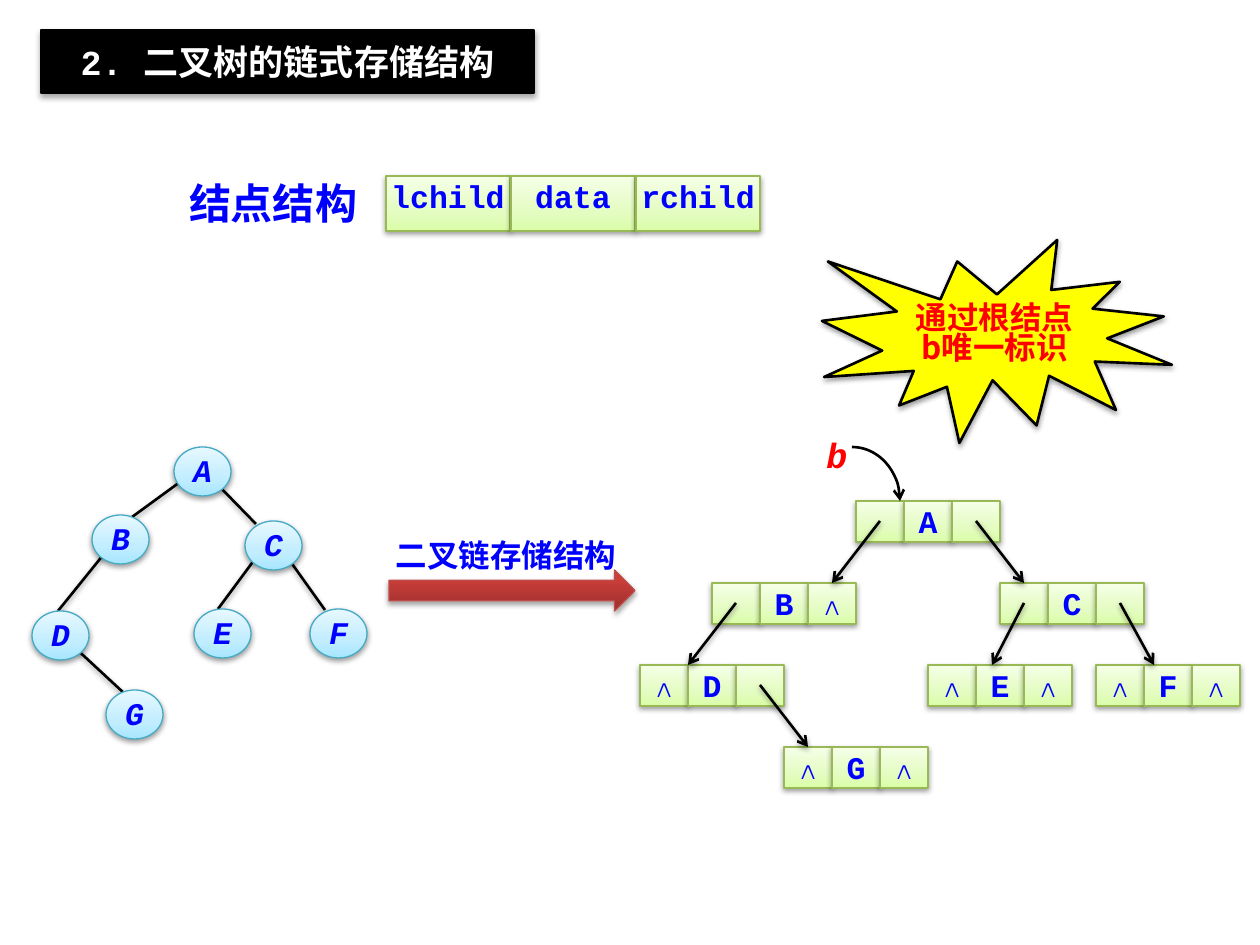
from dataclasses import dataclass

from lxml import etree
from pptx import Presentation
from pptx.dml.color import RGBColor
from pptx.enum.shapes import MSO_CONNECTOR, MSO_SHAPE
from pptx.enum.text import MSO_ANCHOR, PP_ALIGN
from pptx.oxml import parse_xml
from pptx.oxml.ns import nsdecls, qn
from pptx.util import Pt

EMU_PER_PX = 914400 / 126
SLIDE = (1260, 945)


@dataclass(frozen=True)
class Theme:
    mono: str = "Courier New"
    cjk: str = "Noto Sans CJK SC"
    black: str = "000000"
    white: str = "FFFFFF"
    blue: str = "0000FF"
    red: str = "FF0000"
    yellow: str = "FFFF00"
    sky: tuple = ((0, "A7E6FF"), (35, "C1EDFF"), (100, "E7F8FF"))
    sky_edge: str = "46AAC5"
    lime: tuple = ((0, "DAFDA7"), (35, "E4FCC2"), (100, "F5FFE7"))
    lime_edge: str = "98B955"
    brick: tuple = ((0, "9C2F2D"), (80, "CB3E3A"), (100, "CE3B37"))
    brick_edge: str = "BF4C48"
    body: int = 18
    title: int = 20
    heading: int = 24
    thin: float = 0.75
    thick: float = 1.5


THEME = Theme()

# Left, top of every oval in the logical tree
OVALS = {"A": (174, 447), "B": (92, 515), "C": (245, 521), "E": (194, 609),
         "F": (310, 609), "D": (32, 611), "G": (106, 690)}
BRANCHES = [((219, 486), (256, 524)), ((255, 559), (218, 609)),
            ((71, 644), (125, 694)), ((285, 554), (325, 610)),
            ((108, 549), (58, 611)), ((202, 466), (117, 528))]

# Linked nodes: half-cell column, row, left child, right child
NULL = "∧"
LINKED_NODES = {"A": (9, 0, "B", "C"), "B": (3, 1, "D", NULL),
                "C": (15, 1, "E", "F"), "D": (0, 2, NULL, "G"),
                "E": (12, 2, NULL, NULL), "G": (6, 3, NULL, NULL),
                "F": (19, 2, NULL, NULL)}
# Where the incoming pointer lands, from the node's left side
LANDINGS = {"B": 120, "C": 24, "D": 48, "E": 64, "F": 58, "G": 24}
GRID_LEFT, GRID_TOP, CELL, CELL_HEIGHT, ROW_PITCH = 640, 501, 48, 41, 82


def px(*lengths):
    return [round(length * EMU_PER_PX) for length in lengths]


def add_shadow(shape, alpha=38, distance=20000):
    shape._element.spPr.append(parse_xml(
        f'<a:effectLst {nsdecls("a")}><a:outerShdw blurRad="40000" dist="{distance}" '
        f'dir="5400000" rotWithShape="0"><a:srgbClr val="000000">'
        f'<a:alpha val="{alpha * 1000}"/></a:srgbClr></a:outerShdw></a:effectLst>'))


def add_arrowhead(shape):
    etree.SubElement(shape.line._get_or_add_ln(), qn("a:tailEnd"), type="arrow")


def paint(shape, fill, edge, weight):
    """Fill with a colour, or with gradient stops that run from bottom to top."""
    if isinstance(fill, str):
        shape.fill.solid()
        shape.fill.fore_color.rgb = RGBColor.from_string(fill)
    else:
        stops = "".join(f'<a:gs pos="{at * 1000}"><a:srgbClr val="{color}"/></a:gs>'
                        for at, color in fill)
        geometry = shape._element.spPr.find(qn("a:prstGeom"))
        geometry.addnext(parse_xml(
            f'<a:gradFill {nsdecls("a")} rotWithShape="1"><a:gsLst>{stops}</a:gsLst>'
            '<a:lin ang="16200000" scaled="0"/></a:gradFill>'))
    shape.line.color.rgb = RGBColor.from_string(edge)
    shape.line.width = Pt(weight)


def write(shape, text, size=THEME.body, color=THEME.blue, font=THEME.mono,
          italic=False, align=PP_ALIGN.CENTER, spacing=None,
          insets=(0, 0, 0, 0), anchor=MSO_ANCHOR.TOP):
    frame = shape.text_frame
    frame.word_wrap = True
    frame.vertical_anchor = anchor
    (frame.margin_left, frame.margin_top,
     frame.margin_right, frame.margin_bottom) = px(*insets)
    frame.text = text
    paragraph = frame.paragraphs[0]
    paragraph.alignment = align
    paragraph.line_spacing = spacing
    run = paragraph.runs[0]
    run.font.size = Pt(size)
    run.font.name = font
    run.font.bold = True
    run.font.italic = italic
    run.font.color.rgb = RGBColor.from_string(color)
    if any("\u4e00" <= letter <= "\u9fff" for letter in text):
        etree.SubElement(run.font._element, qn("a:ea"), typeface=THEME.cjk)


def add_block(shapes, preset, box, fill, edge, weight=THEME.thin, **shadow):
    block = shapes.add_shape(preset, *px(*box))
    paint(block, fill, edge, weight)
    add_shadow(block, **shadow)
    return block


def add_label(shapes, box, text, **style):
    write(shapes.add_textbox(*px(*box)), text, **style)


def add_line(shapes, start, end, arrow=False):
    line = shapes.add_connector(MSO_CONNECTOR.STRAIGHT, *px(*start, *end))
    line.line.color.rgb = RGBColor.from_string(THEME.black)
    line.line.width = Pt(THEME.thick)
    if arrow:
        add_arrowhead(line)
    add_shadow(line)


def add_cell(shapes, box, text):
    cell = add_block(shapes, MSO_SHAPE.RECTANGLE, box, THEME.lime, THEME.lime_edge)
    if text:
        write(cell, text, spacing=Pt(20), insets=(0, 4, 0, 0))


def add_logical_tree(shapes):
    for start, end in BRANCHES:
        add_line(shapes, start, end)
    for name, corner in OVALS.items():
        oval = add_block(shapes, MSO_SHAPE.OVAL, (*corner, 57, 49),
                         THEME.sky, THEME.sky_edge)
        write(oval, name, italic=True, spacing=Pt(20))


def node_corner(name):
    column, row = LINKED_NODES[name][:2]
    return GRID_LEFT + column * CELL // 2, GRID_TOP + row * ROW_PITCH


def add_linked_tree(shapes):
    pointers = []
    for name, (_, _, left_child, right_child) in LINKED_NODES.items():
        left, top = node_corner(name)
        for index, field in enumerate((left_child, name, right_child)):
            cell_left = left + index * CELL
            is_pointer = field in LANDINGS and field != name
            add_cell(shapes, (cell_left, top, CELL, CELL_HEIGHT),
                     "" if is_pointer else field)
            if is_pointer:
                child_left, child_top = node_corner(field)
                pointers.append(((cell_left + CELL // 2, top + CELL_HEIGHT // 2),
                                 (child_left + LANDINGS[field], child_top)))
    for start, end in pointers:
        add_line(shapes, start, end, arrow=True)


def add_root_pointer(shapes):
    add_label(shapes, (819, 433, 36, 42), "b", size=THEME.title,
              color=THEME.red, italic=True)
    arc = shapes.add_shape(MSO_SHAPE.ARC, *px(804, 447, 96, 108))
    arc.shadow.inherit = False
    arc.fill.background()
    arc.line.color.rgb = RGBColor.from_string(THEME.black)
    arc.line.width = Pt(THEME.thick)
    add_arrowhead(arc)


def add_node_layout(shapes):
    for index, field in enumerate(("lchild", "data", "rchild")):
        add_cell(shapes, (386 + 125 * index, 176, 124, 55), field)


def main():
    presentation = Presentation()
    presentation.slide_width, presentation.slide_height = px(*SLIDE)
    shapes = presentation.slides.add_slide(presentation.slide_layouts[6]).shapes

    title = add_block(shapes, MSO_SHAPE.RECTANGLE, (41, 30, 493, 63),
                      THEME.black, THEME.black, alpha=35, distance=23000)
    write(title, "2. 二叉树的链式存储结构", size=THEME.title, color=THEME.white,
          insets=(13, 10, 13, 10))
    add_logical_tree(shapes.add_group_shape().shapes)
    add_label(shapes, (396, 536, 278, 29), "二叉链存储结构", align=PP_ALIGN.LEFT)
    linked = shapes.add_group_shape().shapes
    add_linked_tree(linked)
    add_root_pointer(linked)
    add_block(shapes, MSO_SHAPE.RIGHT_ARROW, (389, 570, 246, 41),
              THEME.brick, THEME.brick_edge, alpha=35, distance=23000)
    add_node_layout(shapes.add_group_shape().shapes)
    add_label(shapes, (-44, 181, 634, 53), "结点结构", size=THEME.heading,
              spacing=0.8, insets=(13, 6, 13, 6))
    burst = add_block(shapes, MSO_SHAPE.EXPLOSION1, (822, 240, 350, 203),
                      THEME.yellow, THEME.black, THEME.thick)
    write(burst, "通过根结点b唯一标识", color=THEME.red, font=THEME.cjk,
          spacing=0.8, insets=(13, 6, 13, 6), anchor=MSO_ANCHOR.MIDDLE)
    presentation.save("out.pptx")


if __name__ == "__main__":
    main()
